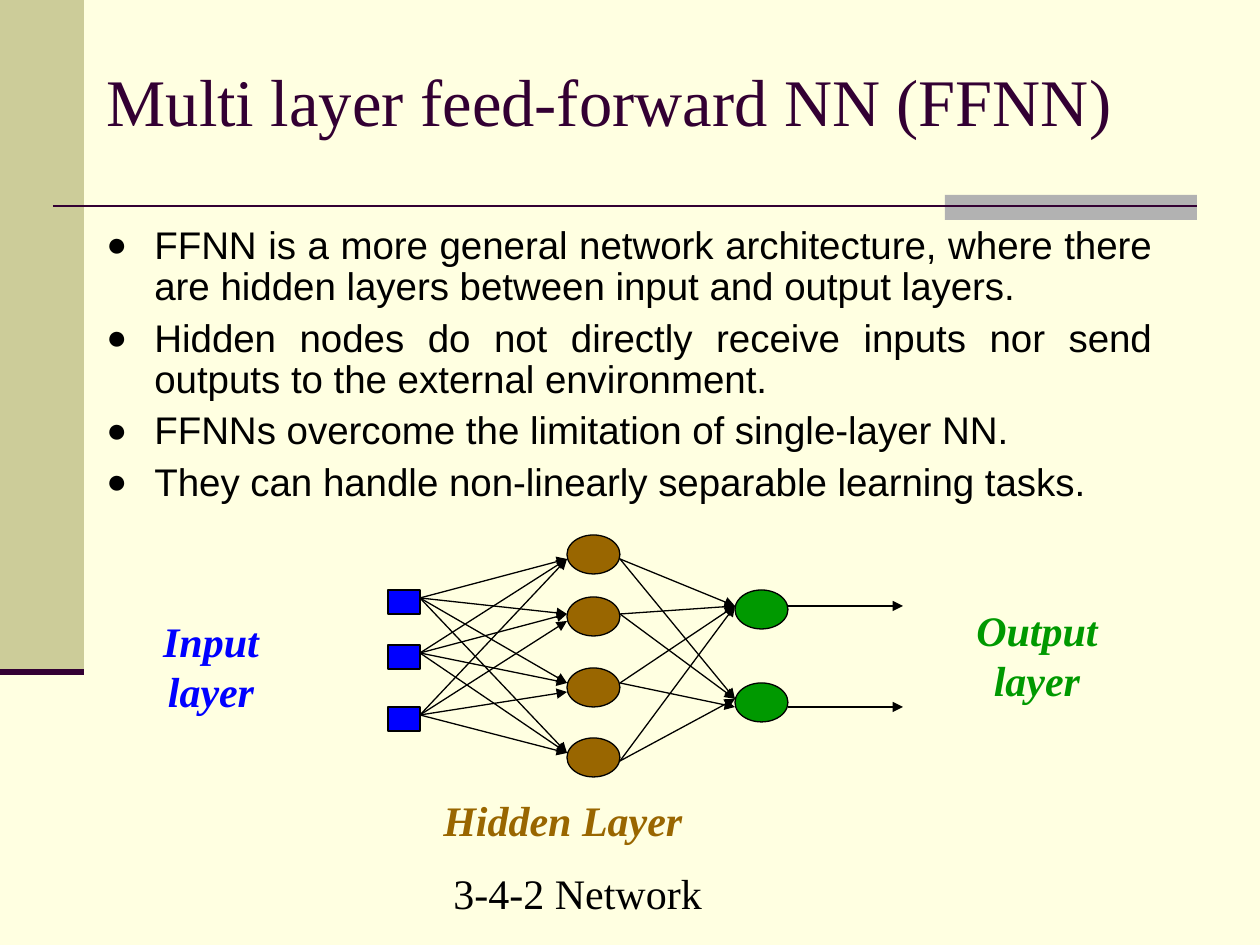
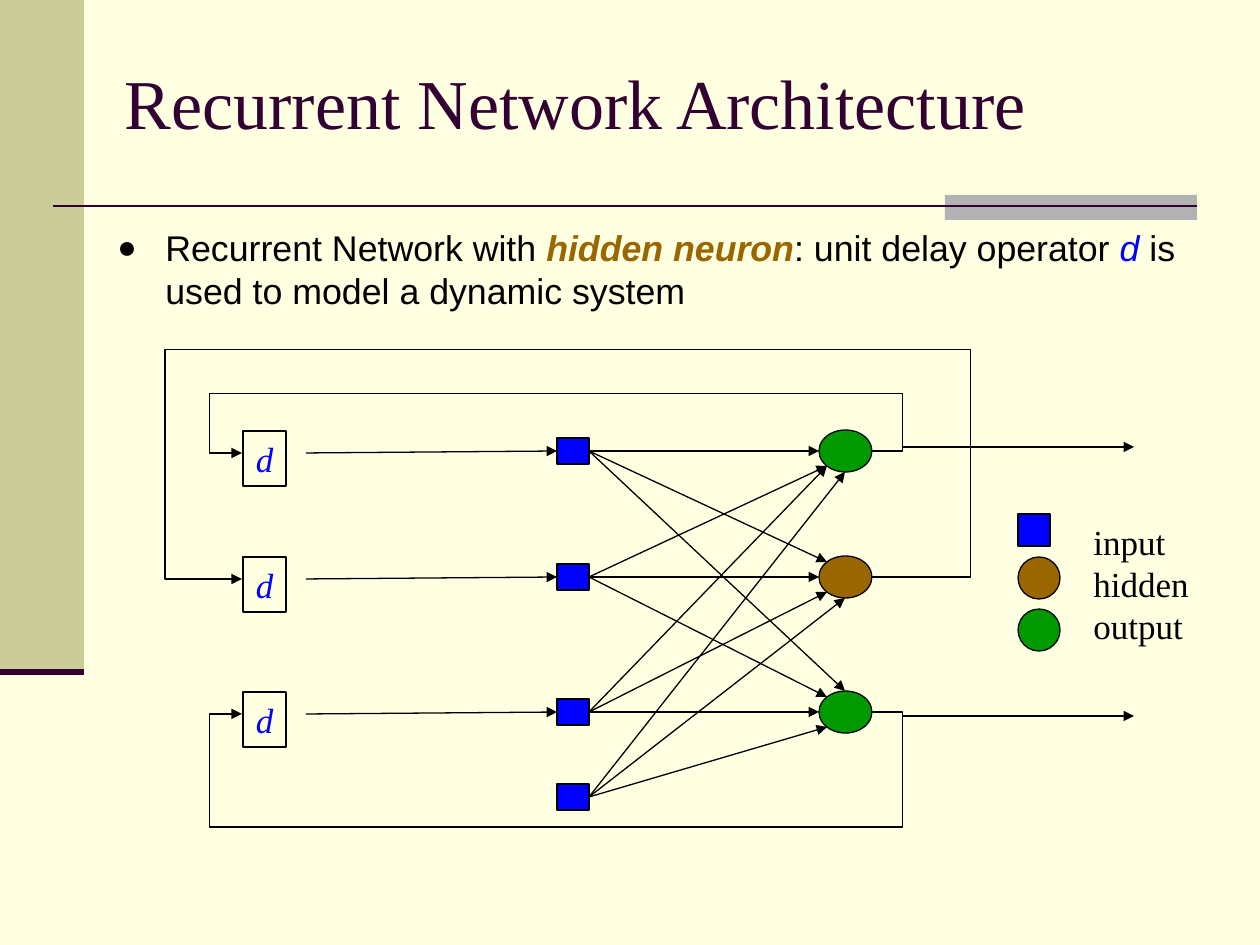
from lxml.etree import SubElement as sub
from pptx import Presentation
from pptx.dml.color import RGBColor
from pptx.enum.shapes import MSO_CONNECTOR as LINK, MSO_SHAPE as SHAPE
from pptx.enum.text import MSO_ANCHOR as ANCHOR, MSO_AUTO_SIZE as FIT, PP_ALIGN as ALIGN
from pptx.oxml.ns import qn
from pptx.util import Inches, Pt

PX = 914400 / 126
SERIF, SANS = "Times New Roman", "Arial"
BLACK, BLUE, BROWN, GREEN = "000000", "0000FF", "996600", "009900"
PLUM, OLIVE, GREY, CREAM = "330033", "CCCC99", "B2B2B2", "FFFFE1"


def px(n):
    return round(n * PX)


def rgb(code):
    return RGBColor.from_string(code)


def add_run(para, text, size, font, color=BLACK, bold=False, ital=False):
    run = para.add_run()
    run.text = text
    face = run.font
    face.size, face.name, face.bold, face.italic = Pt(size), font, bold, ital
    face.color.rgb = rgb(color)


def add_node(slide, kind, x, y, w, h, fill=None, edge=BLACK, width=0.75):
    node = slide.shapes.add_shape(kind, px(x), px(y), px(w), px(h))
    node.shadow.inherit = False
    if fill:
        node.fill.solid()
        node.fill.fore_color.rgb = rgb(fill)
    else:
        node.fill.background()
    if edge:
        node.line.color.rgb = rgb(edge)
        node.line.width = Pt(width)
    else:
        node.line.fill.background()
    return node


def add_line(slide, start, end, color=BLACK, width=0.75, arrow=True, kind=LINK.STRAIGHT):
    line = slide.shapes.add_connector(kind, *map(px, (*start, *end)))
    line.line.color.rgb = rgb(color)
    line.line.width = Pt(width)
    props = line.element.spPr
    if arrow:
        sub(props.find(qn("a:ln")), qn("a:tailEnd"), type="triangle")
    sub(props, qn("a:effectLst"))
    return line


def add_loop(slide, start, end, right, level, left):
    """Arrow that leaves to the right, runs along a level and returns from the left."""
    loop = add_line(slide, start, end, kind=LINK.ELBOW)
    (x, y), (x2, y2) = start, end
    geom = loop.element.spPr.find(qn("a:prstGeom"))
    geom.set("prst", "bentConnector5")
    guides = geom.find(qn("a:avLst"))
    if guides is None:
        guides = sub(geom, qn("a:avLst"))
    ratios = (right - x) / (x2 - x), (level - y) / (y2 - y), (left - x) / (x2 - x)
    for i, ratio in enumerate(ratios, 1):
        sub(guides, qn("a:gd"), name=f"adj{i}", fmla=f"val {round(ratio * 100000)}")


def add_box(slide, x, y, w, h):
    frame = slide.shapes.add_textbox(px(x), px(y), px(w), px(h)).text_frame
    frame.word_wrap = True
    return frame


def next_para(frame, i):
    return frame.add_paragraph() if i else frame.paragraphs[0]


def add_label(slide, box, lines, size, color=BLACK, strong=False, align=ALIGN.LEFT):
    frame = add_box(slide, *box)
    for i, text in enumerate(lines):
        para = next_para(frame, i)
        para.alignment = align
        add_run(para, text, size, SERIF, color, strong, strong)


def add_points(slide, box, points, size, gap, align=ALIGN.LEFT, lead=1.0):
    """Bulleted text; each point is a list of (text, style) runs."""
    frame = add_box(slide, *box)
    for i, runs in enumerate(points):
        para = next_para(frame, i)
        para.alignment, para.line_spacing, para.space_before = align, lead, Pt(gap)
        props = para._p.get_or_add_pPr()
        props.set("marL", str(px(48)))
        props.set("indent", str(-px(48)))
        sub(sub(props, qn("a:buClr")), qn("a:srgbClr"), val=BLACK)
        sub(props, qn("a:buSzPct"), val="90000")
        sub(props, qn("a:buFont"), typeface=SANS)
        sub(props, qn("a:buChar"), char="●")
        for text, style in runs:
            add_run(para, text, size, SANS, **style)


def add_page(prs, width, runs):
    """Title-only slide with the side band, the rules and its title runs."""
    slide = prs.slides.add_slide(prs.slide_layouts[5])
    add_node(slide, SHAPE.RECTANGLE, 0, 0, 84, 672, OLIVE, None)
    add_node(slide, SHAPE.RECTANGLE, 945, 195, 252, 25, GREY, None)
    add_line(slide, (53, 206), (1197, 206), PLUM, 1.5, False)
    add_line(slide, (0, 672), (84, 672), PLUM, 3.5, False)
    title = slide.shapes.title
    title.left, title.top, title.width, title.height = map(px, (94, 53, width, 94))
    frame = title.text_frame
    frame.word_wrap, frame.auto_size = True, FIT.NONE
    frame.vertical_anchor = ANCHOR.MIDDLE
    frame.paragraphs[0].alignment = ALIGN.LEFT
    for text, size in runs:
        add_run(frame.paragraphs[0], text, size, SERIF, PLUM)
    return slide


def draw_layers(slide, x, y):
    """3-4-2 network with its top left corner at x, y."""
    for top in (0, 62, 133, 203):
        add_node(slide, SHAPE.OVAL, x + 179, y + top, 53, 39, BROWN)
    for top in (55, 148):
        add_node(slide, SHAPE.OVAL, x + 347, y + top, 53, 39, GREEN)
    near, far = (24, 79, 148, 218), (24, 86, 157, 218)
    for top, ends in ((55, near), (110, near), (172, far)):
        add_node(slide, SHAPE.RECTANGLE, x, y + top, 32, 24, BLUE)
        for end in ends:
            add_line(slide, (x + 32, y + top + 8), (x + 179, y + end))
    for start, low in ((24, 164), (79, 164), (148, 172), (226, 164)):
        for end in (71, low):
            add_line(slide, (x + 232, y + start), (x + 347, y + end))
    for level in (71, 172):
        add_line(slide, (x + 400, y + level), (x + 515, y + level))


def draw_cycle(slide, x, y):
    """Recurrent network with its top left corner at x, y."""
    mids = [y + m for m in (103, 229, 364)]
    touch = {"W": (0, 0), "NW": (8, -15), "SW": (8, 15), "N": (26, -21), "S": (26, 21)}
    fans = ("W", "NW", "N"), ("SW", "W", "NW"), ("SW", "SW", "W"), ("S", "S", "SW")
    for mid, color in zip(mids, (GREEN, BROWN, GREEN)):
        add_node(slide, SHAPE.OVAL, x + 654, mid - 21, 53, 42, color)
    for i, (mid, fan) in enumerate(zip(mids + [y + 449], fans)):
        cell = add_node(slide, SHAPE.RECTANGLE, x + 392, mid - 13, 32, 26, BLUE)
        for goal, side in zip(mids, fan):
            dx, dy = touch[side]
            ray = add_line(slide, (x + 424, mid), (x + 654 + dx, goal + dy))
            ray.begin_connect(cell, 3)
        if i < len(mids):
            feed = add_line(slide, (x + 141, mid + 2), (x + 392, mid))
            feed.end_connect(cell, 1)
    for mid, (right, level, left) in zip(mids, ((738, 45, 45), (805, 0, 0), (738, 480, 45))):
        delay = add_node(slide, SHAPE.RECTANGLE, x + 78, mid - 20, 43, 55, width=1)
        frame = delay.text_frame
        frame.word_wrap, frame.vertical_anchor = False, ANCHOR.TOP
        frame.paragraphs[0].alignment = ALIGN.CENTER
        add_run(frame.paragraphs[0], "d", 20, SERIF, BLUE, ital=True)
        add_loop(slide, (x + 707, mid), (x + 77, mid + 2), x + right, y + level, x + left)
    for level in (mids[0] - 4, mids[2] + 4):
        add_line(slide, (x + 738, level), (x + 969, level))


def draw_key(slide, x, y):
    add_node(slide, SHAPE.RECTANGLE, x, y, 32, 32, BLUE)
    add_node(slide, SHAPE.OVAL, x, y + 43, 42, 42, BROWN)
    add_node(slide, SHAPE.OVAL, x, y + 95, 42, 42, GREEN)
    add_label(slide, (x + 63, y, 148, 139), ("input", "hidden", "output"), 20)


def forward_page(prs):
    slide = add_page(prs, 1103, [("Multi layer feed-forward NN (FFNN)", 38)])
    points = (
        "FFNN is a more general network architecture, where there are hidden layers "
        "between input and output layers.",
        "Hidden nodes do not directly receive inputs nor send outputs to the external environment.",
        "FFNNs overcome the limitation of single-layer NN.",
        "They can handle non-linearly separable learning tasks.",
    )
    add_points(slide, (94, 220, 1071, 325), [[(p, {})] for p in points],
               22, 5.5, ALIGN.JUSTIFY, 0.9)
    draw_layers(slide, 388, 535)
    add_label(slide, (146, 609, 130, 113), ("Input", "layer"), 24, BLUE, True, ALIGN.CENTER)
    add_label(slide, (954, 598, 166, 113), ("Output", "layer"), 24, GREEN, True, ALIGN.CENTER)
    add_label(slide, (431, 788, 275, 63), ("Hidden Layer",), 24, BROWN, True)
    add_label(slide, (441, 861, 315, 63), ("3-4-2 Network",), 24)


def recurrent_page(prs):
    slide = add_page(prs, 1061, [(" ", 42), ("Recurrent Network Architecture", 40)])
    point = [
        ("Recurrent Network with ", {}),
        ("hidden neuron", {"color": BROWN, "bold": True, "ital": True}),
        (": unit delay operator ", {}),
        ("d ", {"color": BLUE, "ital": True}),
        ("is used to model a dynamic system", {}),
    ]
    add_points(slide, (105, 220, 1124, 105), [point], 20.4, 6)
    draw_cycle(slide, 165, 348)
    draw_key(slide, 1018, 514)


def main():
    prs = Presentation()
    prs.slide_width, prs.slide_height = Inches(10), Inches(7.5)
    back = prs.slide_master.background.fill
    back.solid()
    back.fore_color.rgb = rgb(CREAM)
    forward_page(prs)
    recurrent_page(prs)
    prs.save("out.pptx")


if __name__ == "__main__":
    main()
